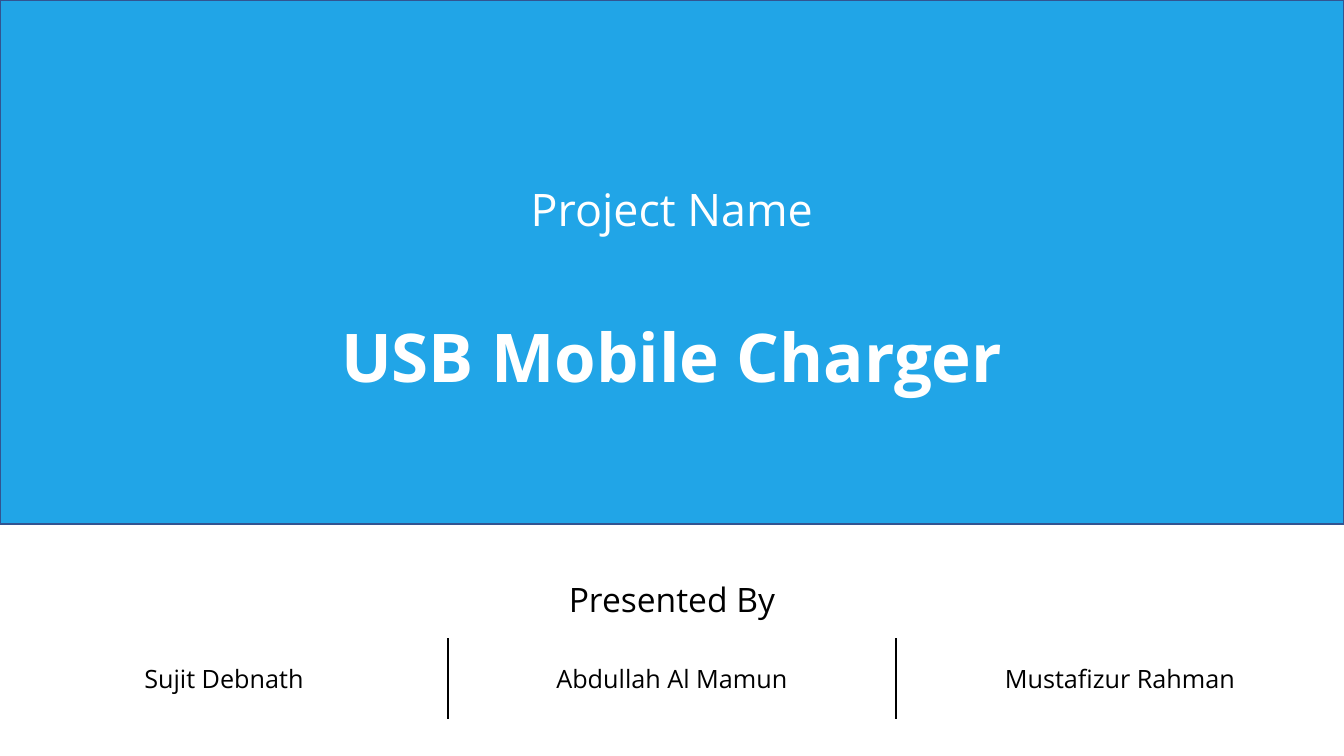
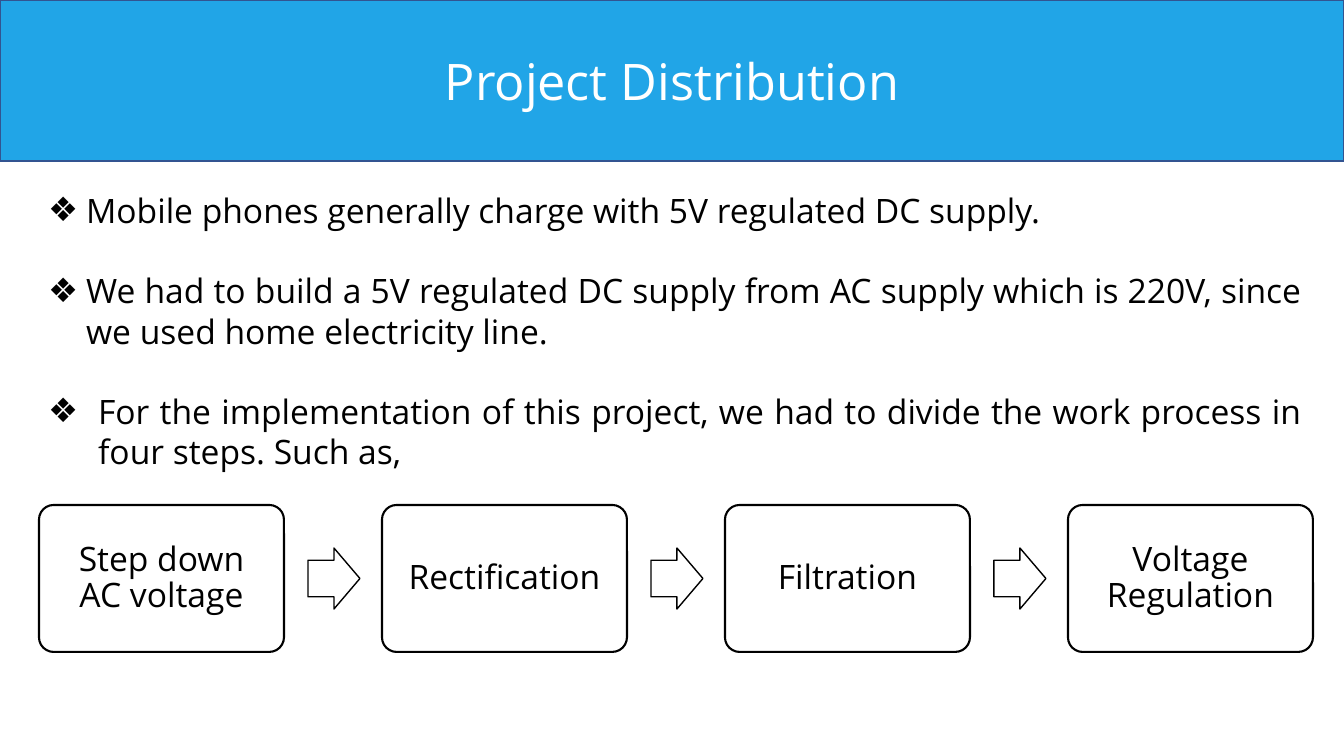
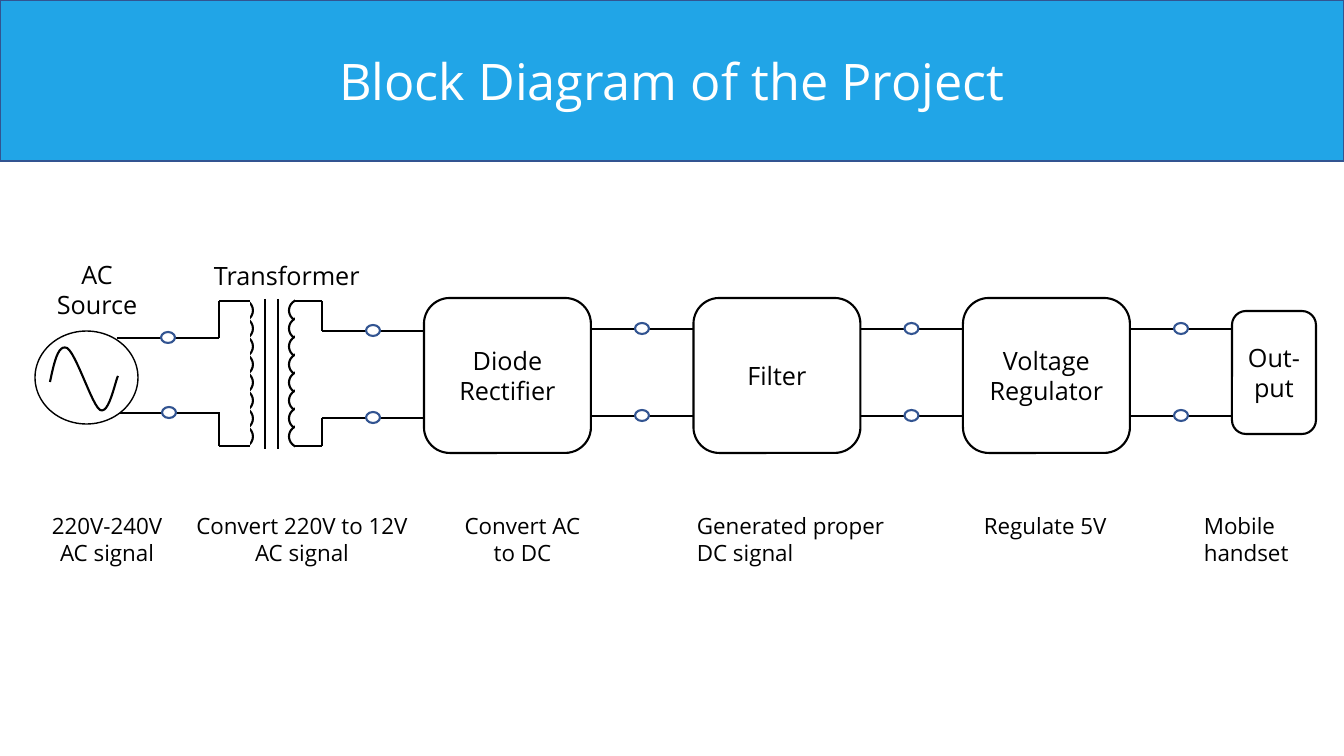
from pptx import Presentation
from pptx.dml.color import RGBColor
from pptx.enum.shapes import MSO_CONNECTOR, MSO_SHAPE
from pptx.enum.text import MSO_ANCHOR, MSO_AUTO_SIZE, PP_ALIGN
from pptx.oxml.ns import qn
from pptx.util import Pt
from lxml import etree

RECT, ROUND = MSO_SHAPE.RECTANGLE, MSO_SHAPE.ROUNDED_RECTANGLE
OVAL, ARROW = MSO_SHAPE.OVAL, MSO_SHAPE.RIGHT_ARROW
STRAIGHT = MSO_CONNECTOR.STRAIGHT
LEFT, CENTER, JUSTIFY = PP_ALIGN.LEFT, PP_ALIGN.CENTER, PP_ALIGN.JUSTIFY
TOP, MIDDLE = MSO_ANCHOR.TOP, MSO_ANCHOR.MIDDLE
NO_FIT = MSO_AUTO_SIZE.NONE

FONT = "Open Sans"
BLUE, NAVY, BLACK, WHITE = "21A5E7", "325491", "000000", "FFFFFF"
SCALE = 914400 / 100.8
WIDTH, HEIGHT = 1344, 756
TITLE_ONLY, TITLE_BODY = 5, 1


def px(n):
    return round(n * SCALE)


def rgb(value):
    return RGBColor.from_string(value)


def apply(target, values):
    for name, value in values.items():
        setattr(target, name, value)


def place(shape, x, y, w, h):
    apply(shape, {"left": px(x), "top": px(y), "width": px(w), "height": px(h)})


def paint(shape, fill, line, width):
    shape.fill.solid()
    shape.fill.fore_color.rgb = rgb(fill)
    shape.line.color.rgb = rgb(line)
    shape.line.width = Pt(width)


def add_run(p, text, size, color=BLACK, bold=False):
    r = p.add_run()
    r.text = text
    apply(r.font, {"name": FONT, "size": Pt(size), "bold": bold})
    r.font.color.rgb = rgb(color)


def write(tf, lines, size, color=BLACK, align=CENTER, spacing=1.0):
    for i, line in enumerate(lines):
        p = tf.add_paragraph() if i else tf.paragraphs[0]
        apply(p, {"alignment": align, "line_spacing": spacing})
        add_run(p, line, size, color)


def band(s, height):
    title = s.shapes.title
    place(title, 0, 0, WIDTH, height)
    paint(title, BLUE, NAVY, 1)
    tf = title.text_frame
    apply(tf, {"auto_size": NO_FIT, "word_wrap": True, "vertical_anchor": MIDDLE})
    return tf


def titled_slide(prs, layout, title):
    s = prs.slides.add_slide(prs.slide_layouts[layout])
    write(band(s, 161), [title], 36, WHITE)
    return s


def shape(s, kind, x, y, w, h, line=BLACK, width=1.5, adjust=()):
    sp = s.shapes.add_shape(kind, px(x), px(y), px(w), px(h))
    sp.shadow.inherit = False
    paint(sp, WHITE, line, width)
    for i, value in enumerate(adjust):
        sp.adjustments[i] = value
    return sp


def box(s, x, y, w, h, lines, size, inset=10, spacing=1.0, adjust=()):
    tf = shape(s, ROUND, x, y, w, h, adjust=adjust).text_frame
    apply(tf, {"word_wrap": True, "vertical_anchor": MIDDLE,
               "margin_left": px(inset), "margin_right": px(inset)})
    write(tf, lines, size, spacing=spacing)


def label(s, x, y, w, h, lines, size, align=CENTER):
    tf = s.shapes.add_textbox(px(x), px(y), px(w), px(h)).text_frame
    tf.word_wrap = True
    write(tf, lines, size, align=align)


def wire(s, x1, y1, x2, y2):
    cn = s.shapes.add_connector(STRAIGHT, px(x1), px(y1), px(x2), px(y2))
    cn.line.color.rgb = rgb(BLACK)
    cn.line.width = Pt(1.5)
    etree.SubElement(cn._element.spPr, qn("a:effectLst"))


def terminal_wire(s, x, y):
    wire(s, x, y, x + 44, y)
    wire(s, x + 58, y, x + 102, y)
    shape(s, OVAL, x + 44, y - 6, 14, 11, NAVY)


def coil(s, loop_x, mask_x, inner_x, outer_x, top_y, bottom_y):
    for i in range(8):
        shape(s, OVAL, loop_x, 299 + 18 * i, 25, 23)
    shape(s, RECT, mask_x, 295, 24, 155, WHITE, 1)
    for end_y, wire_y in ((301, top_y), (446, bottom_y)):
        wire(s, inner_x, end_y, outer_x, end_y)
        wire(s, outer_x, end_y, outer_x, wire_y)


def cubic(points, steps=12):
    for i in range(1, steps + 1):
        t = i / steps
        weights = ((1 - t) ** 3, 3 * t * (1 - t) ** 2, 3 * t * t * (1 - t), t ** 3)
        yield tuple(px(sum(w * pt[k] for w, pt in zip(weights, points))) for k in (0, 1))


def sine_wave(s):
    controls = [(50, 382), (54, 363), (58, 344), (67, 348), (76, 353),
                (92, 405), (100, 410), (109, 415), (115, 382), (118, 376)]
    curve = [pt for i in (0, 3, 6) for pt in cubic(controls[i:i + 4])]
    builder = s.shapes.build_freeform(*map(px, controls[0]))
    builder.add_line_segments(curve, close=False)
    wave = builder.convert_to_shape()
    wave.shadow.inherit = False
    wave.fill.background()
    wave.line.color.rgb = rgb(BLACK)
    wave.line.width = Pt(1.5)


def border(cell, side):
    ln = etree.Element(qn("a:ln" + side), w=str(Pt(1)))
    fill = etree.SubElement(ln, qn("a:solidFill"))
    etree.SubElement(fill, qn("a:srgbClr"), val=BLACK)
    cell._tc.get_or_add_tcPr().insert(0, ln)


def presenters(s, heading, names):
    count = len(names)
    table = s.shapes.add_table(2, count, 0, px(560), px(WIDTH), px(158)).table
    apply(table, {"first_row": False, "horz_banding": False})
    for cell in table.iter_cells():
        cell.fill.solid()
        cell.fill.fore_color.rgb = rgb(WHITE)
        cell.vertical_anchor = MIDDLE
    table.cell(0, 0).merge(table.cell(0, count - 1))
    write(table.cell(0, 0).text_frame, [heading], 24)
    for i, name in enumerate(names):
        cell = table.cell(1, i)
        write(cell.text_frame, [name], 18)
        if i < count - 1:
            border(cell, "R")
        if i:
            border(cell, "L")


def bullets(s, items):
    body = s.placeholders[1]
    place(body, 38, 185, 1274, 295)
    tf = body.text_frame
    apply(tf, {"auto_size": NO_FIT, "word_wrap": True, "vertical_anchor": TOP})
    for i, (text, indent) in enumerate(items):
        p = tf.add_paragraph() if i else tf.paragraphs[0]
        apply(p, {"alignment": JUSTIFY, "line_spacing": 1.0,
                  "space_before": Pt(0), "space_after": Pt(28.5)})
        add_run(p, text, 24)
        pPr = p._p.get_or_add_pPr()
        pPr.set("marL", str(px(indent)))
        pPr.set("indent", str(-px(indent)))
        etree.SubElement(pPr, qn("a:buChar"), char="❖")


def cover(prs):
    s = prs.slides.add_slide(prs.slide_layouts[TITLE_ONLY])
    tf = band(s, 524)
    lines = (("Project Name", 32, False), ("USB Mobile Charger", 48, True))
    for i, (text, size, bold) in enumerate(lines):
        p = tf.add_paragraph() if i else tf.paragraphs[0]
        apply(p, {"alignment": CENTER, "line_spacing": 2.0})
        add_run(p, text, size, WHITE, bold)
    presenters(s, "Presented By",
               ["Sujit Debnath", "Abdullah Al Mamun", "Mustafizur Rahman"])


def distribution(prs):
    s = titled_slide(prs, TITLE_BODY, "Project Distribution")
    bullets(s, [
        ("Mobile phones generally charge with 5V regulated DC supply.", 38),
        ("We had to build a 5V regulated DC supply from AC supply which is 220V, "
         "since we used home electricity line.", 38),
        ("For the implementation of this project, we had to divide the work process "
         "in four steps. Such as,", 50),
    ])
    steps = ["Step down AC voltage", "Rectification", "Filtration", "Voltage Regulation"]
    pitch = 343
    for i, step in enumerate(steps):
        box(s, 39 + pitch * i, 505, 245, 147, [step], 24, 14, 0.9, [0.1])
        if i:
            shape(s, ARROW, 308 + pitch * (i - 1), 548, 52, 61, width=1, adjust=[0.6, 0.5])


def block_diagram(prs):
    s = titled_slide(prs, TITLE_ONLY, "Block Diagram of the Project")
    stages = [["Diode", "Rectifier"], ["Filter"], ["Voltage Regulator"]]
    for i, lines in enumerate(stages):
        x = 424 + 269.5 * i
        box(s, x, 298, 167, 155, lines, 18)
        for y in (329, 416):
            terminal_wire(s, x + 167, y)
    box(s, 1232, 311, 84, 123, ["Out-", "put"], 18)

    coil(s, 228, 225, 250, 219, 338, 413)
    coil(s, 289, 296, 295, 322, 331, 418)
    for x in (265, 278):
        wire(s, x, 299, x, 449)
    for x, y in ((117, 338), (118, 413), (322, 331), (322, 418)):
        terminal_wire(s, x, y)
    shape(s, OVAL, 35, 331, 103, 93, width=1)
    sine_wave(s)

    label(s, 33, 254, 128, 72, ["AC", "Source"], 18)
    label(s, 204, 255, 175, 40, ["Transformer"], 18, LEFT)
    captions = [
        (35, 144, ["220V-240V AC signal"], CENTER),
        (185, 234, ["Convert 220V to 12V", "AC signal"], CENTER),
        (451, 143, ["Convert AC", "to DC"], CENTER),
        (687, 210, ["Generated proper", "DC signal"], LEFT),
        (974, 144, ["Regulate 5V"], LEFT),
        (1194, 117, ["Mobile", "handset"], LEFT),
    ]
    for x, w, lines, align in captions:
        label(s, x, 507, w, 64, lines, 16, align)


def main():
    prs = Presentation()
    apply(prs, {"slide_width": px(WIDTH), "slide_height": px(HEIGHT)})
    cover(prs)
    distribution(prs)
    block_diagram(prs)
    prs.save("out.pptx")


main()
